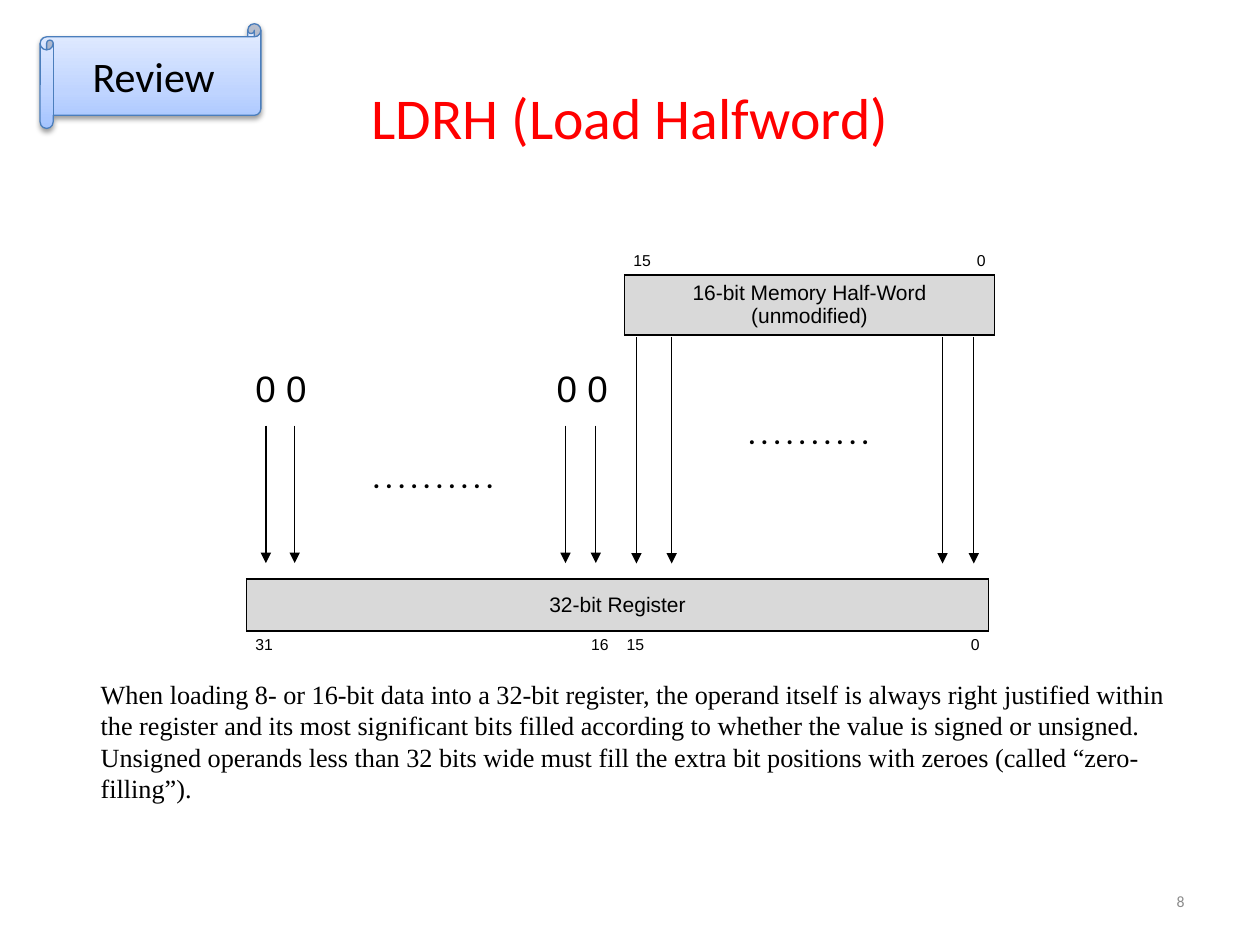
from dataclasses import dataclass

from lxml.etree import SubElement
from pptx import Presentation
from pptx.dml.color import RGBColor
from pptx.enum.shapes import MSO_CONNECTOR, MSO_SHAPE
from pptx.enum.text import MSO_ANCHOR, PP_ALIGN
from pptx.oxml.ns import qn
from pptx.util import Cm, Pt

LEFT, MID, RIGHT = PP_ALIGN.LEFT, PP_ALIGN.CENTER, PP_ALIGN.RIGHT
TOP, CORE, LOW = MSO_ANCHOR.TOP, MSO_ANCHOR.MIDDLE, MSO_ANCHOR.BOTTOM
BLACK = "000000"
PLAIN_GRID = "{2D5ABB26-0587-4C30-8999-92F81FD0307C}"


@dataclass
class Grid:
    """A string row is one merged, shaded band; a dict row maps columns to labels."""
    left: float
    top: float
    cols: int
    width: float
    highs: tuple
    rows: tuple
    size: float = 9
    anchor: MSO_ANCHOR = TOP


@dataclass
class Arrows:
    xs: tuple
    top: float
    end: float


@dataclass
class Note:
    text: str
    box: tuple
    style: dict


GRIDS = (
    Grid(4.97, 11.67, 8, 1.87, (1.05, 1.05),
         ("32-bit Register", {0: "31", 3: "16", 4: "15", 7: "0"})),
    Grid(12.59, 4.45, 2, 3.73, (1.09, 1.21),
         ({0: "15", 1: "0"}, "16-bit Memory Half-Word (unmodified)"), anchor=LOW),
    Grid(4.97, 7.34, 2, 3.73, (1.07,), ({0: "0 0", 1: "0 0"},), size=21),
)

ARROWS = (
    Arrows((5.36, 5.94, 11.4, 12.01), 8.58, 11.35),
    Arrows((12.83, 13.54, 19, 19.63), 6.8, 11.36),
)

DOTS = ". . . . . . . . . ."
DOT_STYLE = dict(size=15, font="Lato", bold=True, align=MID)

NOTES = (
    Note("LDRH (Load Halfword)", (1.27, 0.76, 22.86, 3.18),
         dict(size=33, font="Calibri", color="FF0000", align=MID, anchor=CORE)),
    Note(DOTS, (14.07, 8.31, 4.47, 0.89), DOT_STYLE),
    Note(DOTS, (6.5, 9.19, 4.47, 0.89), DOT_STYLE),
    Note("When loading 8- or 16-bit data into a 32-bit register, the operand "
         "itself is always right justified within the register and its most "
         "significant bits filled according to whether the value is signed or "
         "unsigned. Unsigned operands less than 32 bits wide must fill the extra "
         "bit positions with zeroes (called “zero-filling”).",
         (1.78, 13.54, 22.45, 2.82), dict(size=15, font="Times New Roman")),
    Note("8", (18.21, 17.65, 5.92, 1.02),
         dict(size=9, font="Calibri", color="8C8C8C", align=RIGHT, anchor=CORE)),
)


def paint(target, color: str) -> None:
    """Give a fill, or the colour of a line's fill, one solid colour."""
    target.solid()
    target.fore_color.rgb = RGBColor.from_string(color)


def write(frame, text: str, *, size: float, font: str = "Arial", color: str = BLACK,
          bold: bool = False, align=LEFT, anchor=TOP) -> None:
    frame.word_wrap = True
    frame.vertical_anchor = anchor
    para = frame.paragraphs[0]
    para.alignment = align
    run = para.add_run()
    run.text = text
    run.font.name, run.font.size, run.font.bold = font, Pt(size), bold
    paint(run.font.fill, color)


def add_note(slide, note: Note) -> None:
    box = slide.shapes.add_textbox(*map(Cm, note.box))
    write(box.text_frame, note.text, **note.style)


def add_edges(cell) -> None:
    props = cell._tc.get_or_add_tcPr()
    for side in ("lnL", "lnR", "lnT", "lnB"):
        line = SubElement(props, qn(f"a:{side}"), w=str(Pt(1)))
        fill = SubElement(line, qn("a:solidFill"))
        SubElement(fill, qn("a:srgbClr"), val=BLACK)


def add_grid(slide, grid: Grid) -> None:
    frame = slide.shapes.add_table(
        len(grid.rows), grid.cols, Cm(grid.left), Cm(grid.top),
        Cm(grid.cols * grid.width), Cm(sum(grid.highs)))
    table = frame.table
    table.first_row = table.horz_banding = False
    table._tbl.tblPr.find(qn("a:tableStyleId")).text = PLAIN_GRID
    for col in table.columns:
        col.width = Cm(grid.width)
    for y, (high, row) in enumerate(zip(grid.highs, grid.rows)):
        table.rows[y].height = Cm(high)
        band = isinstance(row, str)
        for x in range(grid.cols):
            cell = table.cell(y, x)
            cell.margin_left = cell.margin_right = Cm(0.18)
            cell.margin_top = cell.margin_bottom = Cm(0.1)
            if band:
                add_edges(cell)
                paint(cell.fill, "D9D9D9")
                continue
            cell.fill.background()
            if x in row:
                write(cell.text_frame, row[x], size=grid.size,
                      align=RIGHT if x % 2 else LEFT)
                cell.vertical_anchor = grid.anchor
        if band:
            first = table.cell(y, 0)
            first.merge(table.cell(y, grid.cols - 1))
            write(first.text_frame, row, size=12, align=MID)
            first.vertical_anchor = CORE


def add_arrows(slide, group: Arrows) -> None:
    for x in group.xs:
        line = slide.shapes.add_connector(
            MSO_CONNECTOR.STRAIGHT, Cm(x), Cm(group.top), Cm(x), Cm(group.end))
        line.line.width = Pt(0.75)
        paint(line.line.fill, BLACK)
        SubElement(line.line._get_or_add_ln(), qn("a:tailEnd"), type="triangle")
        SubElement(line._element.spPr, qn("a:effectLst"))


def add_scroll(slide) -> None:
    scroll = slide.shapes.add_shape(
        MSO_SHAPE.HORIZONTAL_SCROLL, Cm(0.81), Cm(0.48), Cm(4.45), Cm(2.11))
    scroll.fill.gradient()
    scroll.fill.gradient_angle = 90
    props = scroll._element.spPr
    stops = props.find(qn("a:gradFill")).find(qn("a:gsLst"))
    for stop in list(stops):
        stops.remove(stop)
    for pos, color in ((0, "A4C4FF"), (35, "BFD4FF"), (100, "E6EEFF")):
        stop = SubElement(stops, qn("a:gs"), pos=str(pos * 1000))
        SubElement(stop, qn("a:srgbClr"), val=color)
    scroll.line.width = Pt(0.75)
    paint(scroll.line.fill, "4B7EBC")
    scroll.shadow.inherit = False
    shade = SubElement(
        props.find(qn("a:effectLst")), qn("a:outerShdw"), blurRad=str(Pt(3.1)),
        dist=str(Pt(1.6)), dir="5400000", rotWithShape="0")
    tint = SubElement(shade, qn("a:srgbClr"), val=BLACK)
    SubElement(tint, qn("a:alpha"), val="38000")
    write(scroll.text_frame, "Review", size=24, font="Calibri",
          align=MID, anchor=CORE)


def main() -> None:
    deck = Presentation()
    deck.slide_width, deck.slide_height = Cm(25.4), Cm(19.05)
    slide = deck.slides.add_slide(deck.slide_layouts[6])
    for grid in GRIDS:
        add_grid(slide, grid)
    for group in ARROWS:
        add_arrows(slide, group)
    for note in NOTES:
        add_note(slide, note)
    add_scroll(slide)
    deck.save("out.pptx")


if __name__ == "__main__":
    main()
